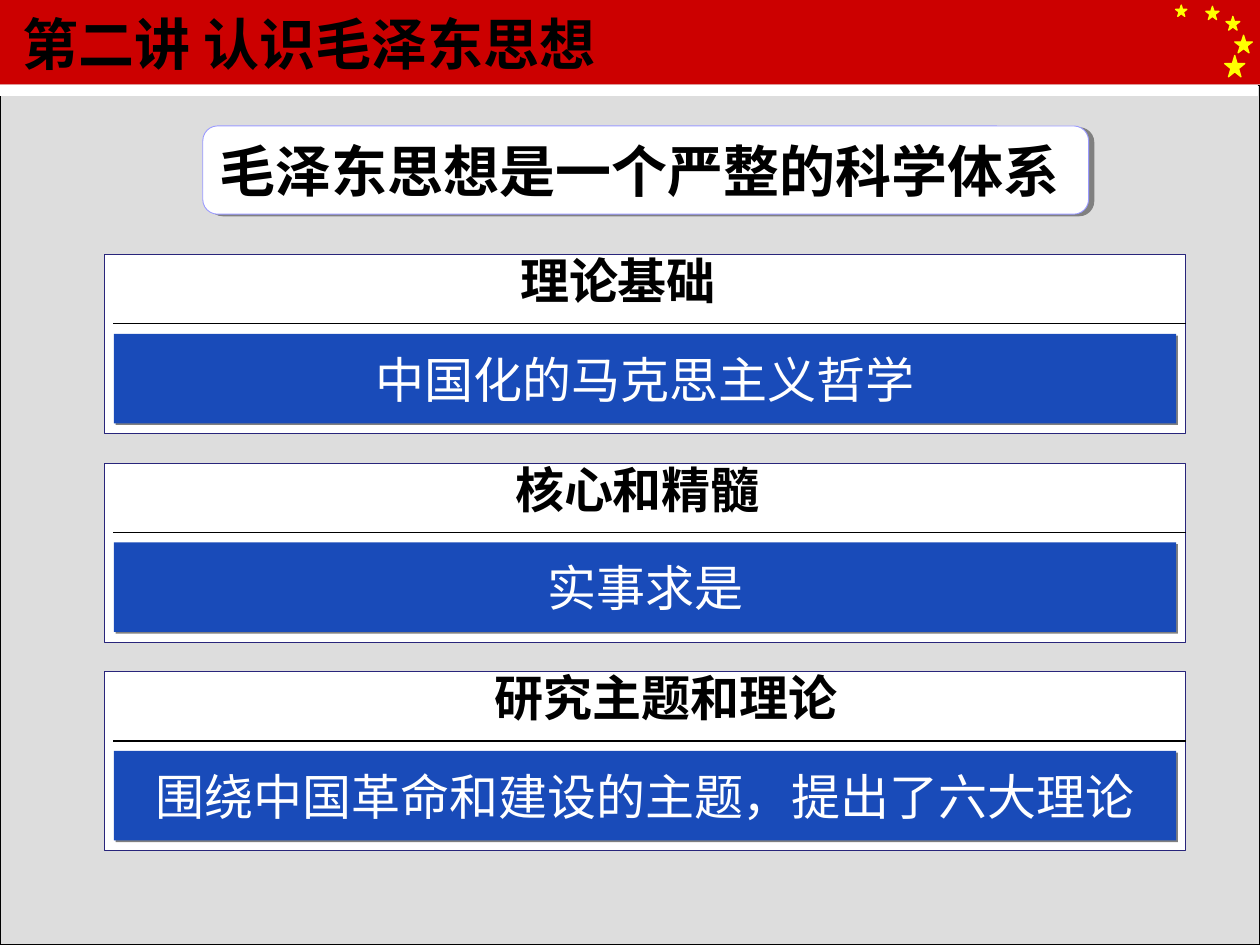
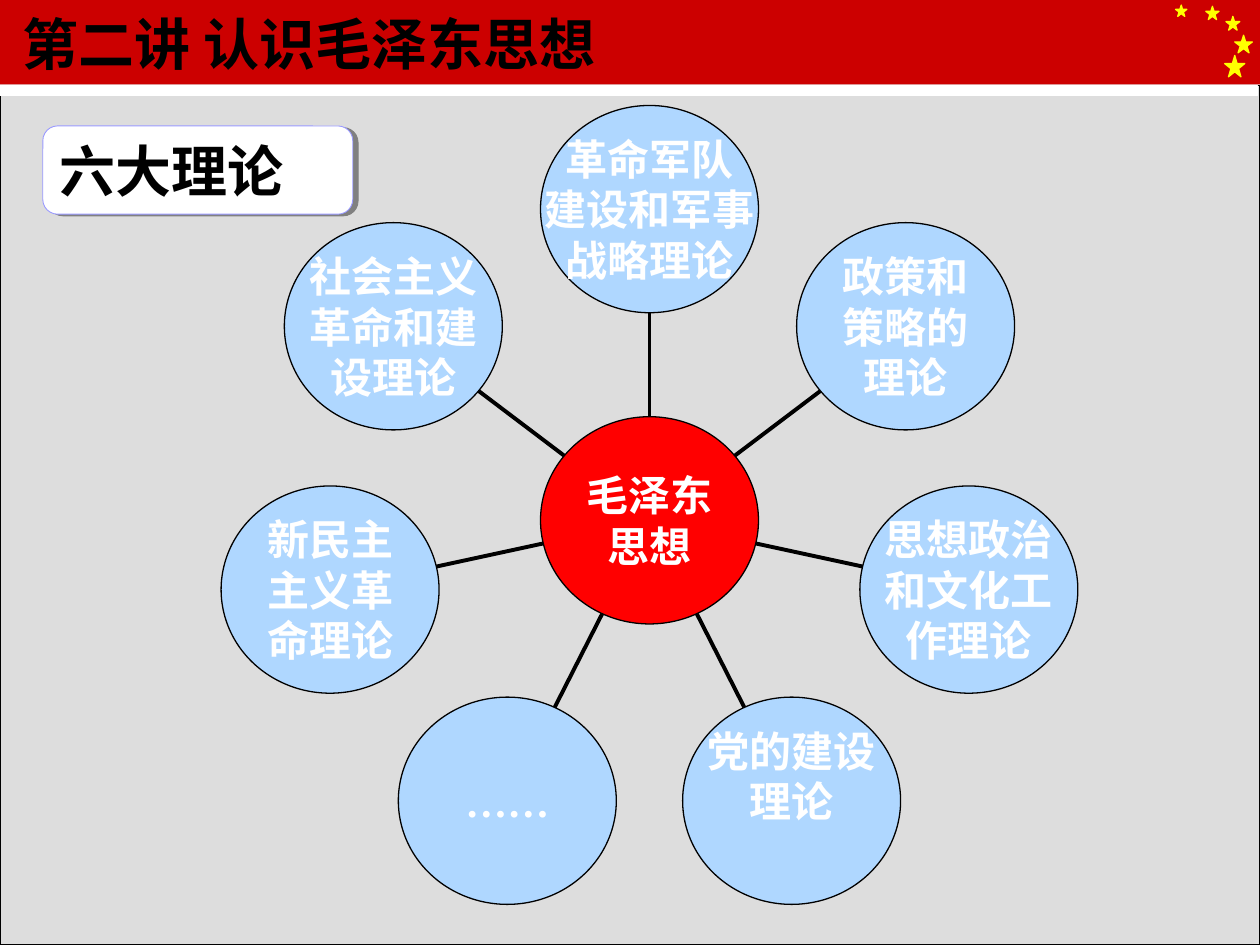
"""Build two slides on a system of thought: three panels and a wheel of theories."""
from dataclasses import dataclass
from math import cos, pi, sin
from typing import NamedTuple

from lxml import etree
from pptx import Presentation
from pptx.dml import color as dml
from pptx.enum import shapes, text
from pptx.oxml import ns
from pptx.util import Emu, Inches, Pt

COLS, ROWS = 100, 75
WIDE, HIGH = Inches(10), Inches(7.5)
HUES = {
    "back": "EAEAEA", "body": "DDDDDD", "band": "CC0000", "star": "FFFF00",
    "white": "FFFFFF", "black": "000000", "edge": "28257B", "rim": "9999FF",
    "bar": "194BB9", "shade": "808080", "pale": "AFD7FF", "core": "FF0000",
}
KIND = shapes.MSO_SHAPE
SANS, SERIF = "Noto Sans CJK SC", "Times New Roman"
LEFT, MID = text.PP_ALIGN.LEFT, text.PP_ALIGN.CENTER


class Box(NamedTuple):
    """A place on the grid, in columns and rows."""
    col: float
    row: float
    wide: float
    high: float


class Pen(NamedTuple):
    """An outline: colour key and width in points."""
    hue: str
    width: float


class Shade(NamedTuple):
    """A hard shadow: distance in points and angle in degrees."""
    dist: float
    angle: int


@dataclass(frozen=True)
class Style:
    """How a piece of text looks and sits."""
    size: int
    hue: str
    bold: bool = True
    face: str = SERIF
    align: text.PP_ALIGN = LEFT
    anchor: text.MSO_ANCHOR = text.MSO_ANCHOR.MIDDLE
    inset: tuple = (0.1, 0.05)
    wrap: bool = False


@dataclass(frozen=True)
class Panel:
    """A framed panel: heading, its left column and width, and bar text."""
    head: str
    col: float
    wide: float
    claim: str


@dataclass(frozen=True)
class Node:
    """A theory on the wheel, with rows kept free below its text."""
    lines: tuple
    lift: float = 0


HEAD = Style(32, "black", face=SANS, wrap=True)
TAG = Style(32, "black", wrap=True)
LABEL = Style(28, "black", anchor=text.MSO_ANCHOR.TOP)
CLAIM = Style(28, "white", bold=False, align=MID)
DISC = Style(24, "white", align=MID, inset=(0, 0))

STARS = (Box(97.2, 4.4, 1.6, 1.7), Box(95.7, 0.5, 1.05, 1.05),
         Box(93.3, 0.4, 0.9, 0.9), Box(97.3, 1.3, 1.1, 1.1),
         Box(98, 2.8, 1.4, 1.4))
PANELS = (
    Panel("理论基础", 40.3, 17.5, "中国化的马克思主义哲学"),
    Panel("核心和精髓", 39.9, 21.4, "实事求是"),
    Panel("研究主题和理论", 38.3, 29.2, "围绕中国革命和建设的主题，提出了六大理论"),
)
NODES = (
    Node(("革命军队", "建设和军事", "战略理论")),
    Node(("政策和", "策略的", "理论")),
    Node(("思想政治", "和文化工", "作理论")),
    Node(("党的建设", "理论"), lift=4),
    Node(("……",)),
    Node(("新民主", "主义革", "命理论")),
    Node(("社会主义", "革命和建", "设理论")),
)
HUB, REACH, DISK = (51.55, 41.3), (26, 24.7), (17.3, 16.45)


def across(cols: float) -> Emu:
    """Turn columns into a length."""
    return Emu(round(WIDE * cols / COLS))


def down(rows: float) -> Emu:
    """Turn rows into a length."""
    return Emu(round(HIGH * rows / ROWS))


def place(box: Box) -> tuple:
    """Turn a grid box into left, top, width and height."""
    return across(box.col), down(box.row), across(box.wide), down(box.high)


def rgb(hue: str) -> dml.RGBColor:
    """Look up a colour."""
    return dml.RGBColor.from_string(HUES[hue])


def ink(line, pen: Pen) -> None:
    """Format an outline."""
    line.color.rgb = rgb(pen.hue)
    line.width = Pt(pen.width)


def cast(shape, shade: Shade) -> None:
    """Give a shape a hard shadow."""
    group = shape._element.spPr.find(ns.qn("a:effectLst"))
    drop = etree.SubElement(group, ns.qn("a:outerShdw"), blurRad="0",
                            dist=str(Pt(shade.dist)), dir=str(shade.angle * 60000),
                            algn="ctr", rotWithShape="0")
    etree.SubElement(drop, ns.qn("a:srgbClr"), val=HUES["shade"])


def draw(slide, kind, box: Box, hue: str, pen: Pen | None = None,
         shade: Shade | None = None):
    """Add a filled shape."""
    shape = slide.shapes.add_shape(kind, *place(box))
    shape.shadow.inherit = False
    shape.fill.solid()
    shape.fill.fore_color.rgb = rgb(hue)
    if pen:
        ink(shape.line, pen)
    else:
        shape.line.fill.background()
    if shade:
        cast(shape, shade)
    return shape


def link(slide, start: tuple, end: tuple, pen: Pen) -> None:
    """Add a straight line between two grid points."""
    line = slide.shapes.add_connector(
        shapes.MSO_CONNECTOR.STRAIGHT, across(start[0]), down(start[1]),
        across(end[0]), down(end[1]))
    ink(line.line, pen)
    etree.SubElement(line._element.spPr, ns.qn("a:effectLst"))


def write(shape, lines: tuple, style: Style) -> None:
    """Fill a shape with one paragraph per line."""
    frame = shape.text_frame
    frame.word_wrap = style.wrap
    frame.auto_size = text.MSO_AUTO_SIZE.NONE
    frame.vertical_anchor = style.anchor
    frame.margin_left = frame.margin_right = Inches(style.inset[0])
    frame.margin_top = frame.margin_bottom = Inches(style.inset[1])
    for i, line in enumerate(lines):
        para = frame.add_paragraph() if i else frame.paragraphs[0]
        para.alignment = style.align
        run = para.add_run()
        run.text = line
        font = run.font
        font.size, font.bold, font.name = Pt(style.size), style.bold, style.face
        font.color.rgb = rgb(style.hue)
        etree.SubElement(run._r.get_or_add_rPr(), ns.qn("a:ea"), typeface=SANS)


def start(deck):
    """Add a slide with the shared band, stars, body and title."""
    slide = deck.slides.add_slide(deck.slide_layouts[5])
    slide.background.fill.solid()
    slide.background.fill.fore_color.rgb = rgb("back")
    draw(slide, KIND.RECTANGLE, Box(0, 0, COLS, 6.7), "band")
    for star in STARS:
        draw(slide, KIND.STAR_5_POINT, star, "star", Pen("star", 0.75))
    draw(slide, KIND.RECTANGLE, Box(0, 6.8, COLS, 68.2), "body", Pen("black", 0.75))
    draw(slide, KIND.RECTANGLE, Box(0, 6.8, 99.8, 0.8), "white", Pen("white", 0.75))
    title = slide.shapes.title
    title.left, title.top, title.width, title.height = place(Box(0.8, 0, 70.8, 6.8))
    write(title, ("第二讲 认识毛泽东思想",), HEAD)
    slide.shapes._spTree.append(title._element)
    return slide


def badge(slide, col: float, wide: float, words: str, style: Style) -> None:
    """Add the rounded topic label."""
    shape = draw(slide, KIND.ROUNDED_RECTANGLE, Box(col, 10, wide, 7), "white",
                 Pen("rim", 0.5), Shade(3.2, 18))
    shape.adjustments[0] = 0.167
    write(shape, (words,), style)


def stack(slide) -> None:
    """Draw the three panels at an equal pitch."""
    for i, panel in enumerate(PANELS):
        top = 20.2 + 16.55 * i
        draw(slide, KIND.RECTANGLE, Box(8.3, top, 85.8, 14.2), "white", Pen("edge", 0.25))
        link(slide, (9, top + 5.5), (94.1, top + 5.5), Pen("black", 0.75))
        label = slide.shapes.add_textbox(*place(Box(panel.col, top - 0.8, panel.wide, 5.7)))
        write(label, (panel.head,), LABEL)
        bar = draw(slide, KIND.RECTANGLE, Box(9.05, top + 6.3, 84.3, 7.1), "bar",
                   shade=Shade(1.4, 45))
        write(bar, (panel.claim,), CLAIM)


def disc(slide, mid: tuple, hue: str, lines: tuple):
    """Draw a round node about its middle."""
    box = Box(mid[0] - DISK[0] / 2, mid[1] - DISK[1] / 2, *DISK)
    shape = draw(slide, KIND.OVAL, box, hue, Pen("black", 0.75))
    write(shape, lines, DISC)
    return shape


def wheel(slide) -> None:
    """Set the theories evenly round the hub."""
    for i, node in enumerate(NODES):
        turn = 2 * pi * i / len(NODES)
        aim = sin(turn), -cos(turn)
        mid = tuple(h + r * a for h, r, a in zip(HUB, REACH, aim))
        rim = tuple(d / 2 * a for d, a in zip(DISK, aim))
        link(slide, (HUB[0] + rim[0], HUB[1] + rim[1]),
             (mid[0] - rim[0], mid[1] - rim[1]), Pen("black", 2.25))
        shape = disc(slide, mid, "pale", node.lines)
        shape.text_frame.margin_bottom = down(node.lift)
    disc(slide, HUB, "core", ("毛泽东", "思想"))


def main() -> None:
    """Build and save the deck."""
    deck = Presentation()
    deck.slide_width, deck.slide_height = WIDE, HIGH
    slide = start(deck)
    badge(slide, 16.1, 70.3, "毛泽东思想是一个严整的科学体系", HEAD)
    stack(slide)
    slide = start(deck)
    wheel(slide)
    badge(slide, 3.4, 24.6, "六大理论", TAG)
    deck.save("out.pptx")


if __name__ == "__main__":
    main()
